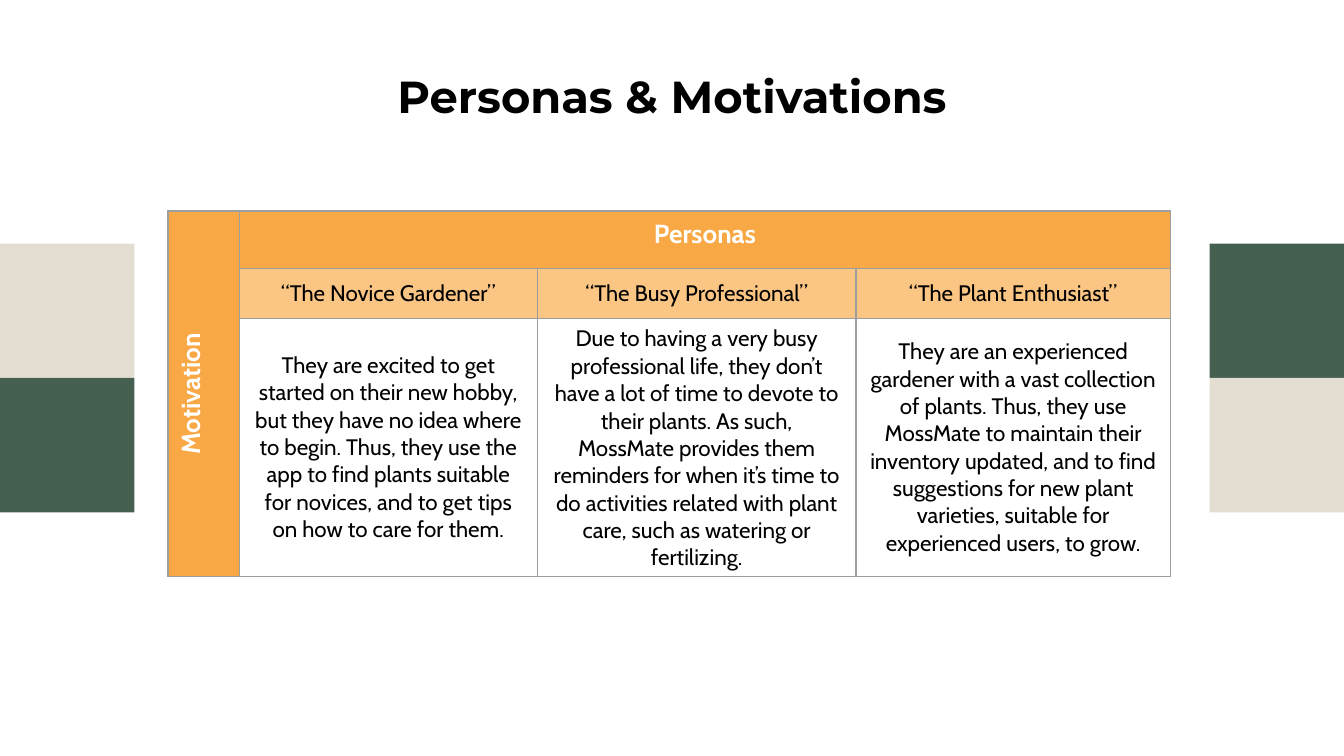
import lxml.etree
import pptx
import pptx.dml.color
import pptx.enum.shapes
import pptx.enum.text
import pptx.oxml.ns
import pptx.util

Inches = pptx.util.Inches
RGBColor = pptx.dml.color.RGBColor
Anchor = pptx.enum.text.MSO_ANCHOR

BLACK = RGBColor(0x00, 0x00, 0x00)
WHITE = RGBColor(0xFF, 0xFF, 0xFF)
GREEN = RGBColor(0x45, 0x5F, 0x51)
SAND = RGBColor(0xE3, 0xDE, 0xD1)
ORANGE = RGBColor(0xF9, 0xA8, 0x46)
PEACH = RGBColor(0xFB, 0xC5, 0x83)
GREY = RGBColor(0x9E, 0x9E, 0x9E)

WIDTH = 10
HEIGHT = WIDTH * 9 / 16
SQUARE = WIDTH / 10
COLUMNS = [0.53, 2.22, 2.37, 2.34]
ROWS = [0.43, 0.37, 1.92]

PERSONAS = [
    ("“The Novice Gardener”",
     "They are excited to get started on their new hobby, but they have no idea "
     "where to begin. Thus, they use the app to find plants suitable for novices, "
     "and to get tips on how to care for them."),
    ("“The Busy Professional”",
     "Due to having a very busy professional life, they don’t have a lot of time "
     "to devote to their plants. As such, MossMate provides them reminders for "
     "when it’s time to do activities related with plant care, such as watering "
     "or fertilizing."),
    ("“The Plant Enthusiast”",
     "They are an experienced gardener with a vast collection of plants. Thus, "
     "they use MossMate to maintain their inventory updated, and to find "
     "suggestions for new plant varieties, suitable for experienced users, to grow."),
]


def write(frame, text, size, font, color, bold):
    para = frame.paragraphs[0]
    para.alignment = pptx.enum.text.PP_ALIGN.CENTER
    span = para.add_run()
    span.text = text
    span.font.size = pptx.util.Pt(size)
    span.font.name = font
    span.font.color.rgb = color
    span.font.bold = bold


def add_square(page, left, top, color):
    square = page.shapes.add_shape(
        pptx.enum.shapes.MSO_SHAPE.RECTANGLE,
        Inches(left), Inches(top), Inches(SQUARE), Inches(SQUARE))
    square.shadow.inherit = False
    square.fill.solid()
    square.fill.fore_color.rgb = color
    square.line.fill.background()


def add_title(page, text):
    box = page.shapes.add_textbox(
        Inches(0.18 * WIDTH), Inches(0.41), Inches(0.64 * WIDTH), Inches(0.63))
    frame = box.text_frame
    frame.word_wrap = True
    frame.vertical_anchor = Anchor.TOP
    frame.margin_left = frame.margin_right = Inches(0.1)
    frame.margin_top = frame.margin_bottom = Inches(0.1)
    write(frame, text, 24, "Montserrat", BLACK, True)


def add_borders(cell):
    properties = cell._tc.get_or_add_tcPr()
    qn = pptx.oxml.ns.qn
    for side in ("lnL", "lnR", "lnT", "lnB"):
        line = lxml.etree.SubElement(
            properties, qn(f"a:{side}"), w=str(pptx.util.Pt(0.75)))
        fill = lxml.etree.SubElement(line, qn("a:solidFill"))
        lxml.etree.SubElement(fill, qn("a:srgbClr"), val=str(GREY))


def fill_cell(cell, color):
    cell.fill.solid()
    cell.fill.fore_color.rgb = color


def add_heading(cell, last_cell, text):
    cell.merge(last_cell)
    fill_cell(cell, ORANGE)
    write(cell.text_frame, text, 14, "Cabin", WHITE, True)


def add_entry(cell, text):
    cell.vertical_anchor = Anchor.MIDDLE
    write(cell.text_frame, text, 12, "Cabin", BLACK, False)


def add_persona_table(page):
    table = page.shapes.add_table(
        len(ROWS), len(COLUMNS), Inches(WIDTH / 8), Inches(1.57),
        Inches(sum(COLUMNS)), Inches(sum(ROWS))).table
    table.first_row = table.horz_banding = False
    for column, width in zip(table.columns, COLUMNS):
        column.width = Inches(width)
    for row, height in zip(table.rows, ROWS):
        row.height = Inches(height)
    for cell in table.iter_cells():
        add_borders(cell)
        cell.fill.background()

    side = table.cell(0, 0)
    add_heading(side, table.cell(2, 0), "Motivation")
    side._tc.get_or_add_tcPr().set("vert", "vert270")
    add_heading(table.cell(0, 1), table.cell(0, 3), "Personas")
    for column, (name, motivation) in enumerate(PERSONAS, start=1):
        fill_cell(table.cell(1, column), PEACH)
        add_entry(table.cell(1, column), name)
        add_entry(table.cell(2, column), motivation)


def main():
    deck = pptx.Presentation()
    deck.slide_width, deck.slide_height = Inches(WIDTH), Inches(HEIGHT)
    page = deck.slides.add_slide(deck.slide_layouts[6])
    middle = HEIGHT / 2
    for left, upper, lower in ((0, SAND, GREEN), (WIDTH - SQUARE, GREEN, SAND)):
        add_square(page, left, middle - SQUARE, upper)
        add_square(page, left, middle, lower)
    add_title(page, "Personas & Motivations")
    add_persona_table(page)
    deck.save("out.pptx")


if __name__ == "__main__":
    main()
